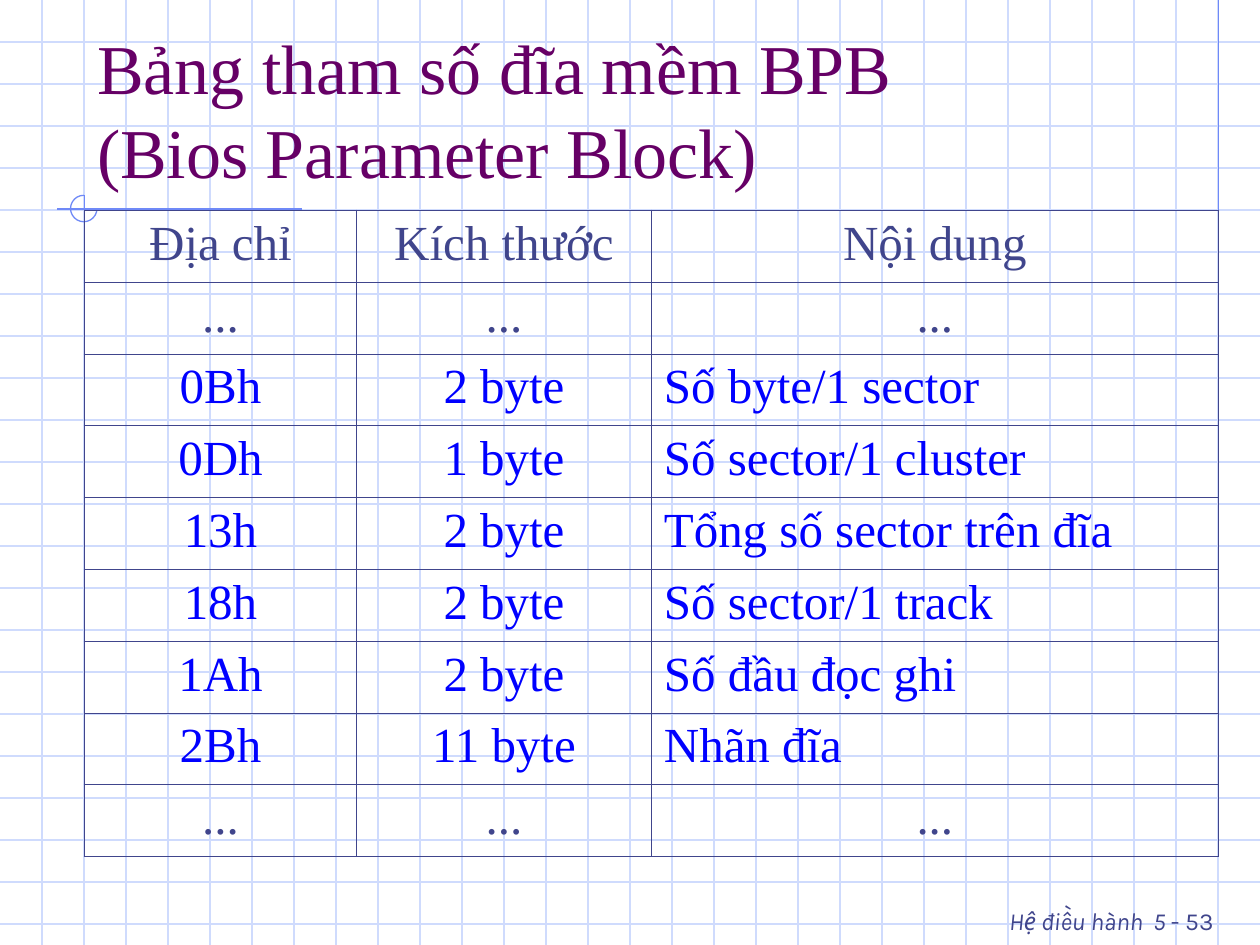
from typing import NamedTuple

from lxml.etree import SubElement
from pptx import Presentation
from pptx.dml.color import RGBColor
from pptx.enum.shapes import MSO_CONNECTOR, MSO_SHAPE
from pptx.enum.text import MSO_ANCHOR, MSO_AUTO_SIZE, PP_ALIGN
from pptx.oxml.ns import qn
from pptx.util import Inches, Pt

GRID = RGBColor(0xCF, 0xDB, 0xFD)
ACCENT = RGBColor(0x6F, 0x89, 0xF7)
NAVY = RGBColor(0x40, 0x45, 0x8C)
BLUE = RGBColor(0x00, 0x00, 0xFF)
PURPLE = RGBColor(0x66, 0x00, 0x66)
SERIF, SANS = "Times New Roman", "Karla"
WIDTH, HEIGHT = 10, 7.5
THIN, THICK = 0.45, 1.08


class Line(NamedTuple):
    x1: float
    y1: float
    x2: float
    y2: float
    color: RGBColor


class Field(NamedTuple):
    address: str
    size: str
    content: str


class Piece(NamedTuple):
    text: str
    size: int
    italic: bool


# Background grid, three cells to the inch, and accent lines
LINES = (
    [Line(0, i / 3, WIDTH, i / 3, GRID) for i in range(1, 23)]
    + [Line(i / 3, 0, i / 3, HEIGHT, GRID) for i in range(1, 30)]
    + [
        Line(9.67, 0, 9.67, 2.58, ACCENT),
        Line(2.4, 1.66, 0.45, 1.66, ACCENT),
        Line(0.67, 1.55, 0.67, 4.09, ACCENT),
    ]
)

GAP = Field("...", "...", "...")
FIELDS = [
    Field("Địa chỉ", "Kích thước", "Nội dung"),
    GAP,
    Field("0Bh", "2 byte", "Số byte/1 sector"),
    Field("0Dh", "1 byte", "Số sector/1 cluster"),
    Field("13h", "2 byte", "Tổng số sector trên đĩa"),
    Field("18h", "2 byte", "Số sector/1 track"),
    Field("1Ah", "2 byte", "Số đầu đọc ghi"),
    Field("2Bh", "11 byte", "Nhãn đĩa"),
    GAP,
]
COL_WIDTHS = [2.16, 2.34, 4.5]
ROW_HEIGHT = 0.57

FOOTER = [
    Piece("Hệ điều hành", 14, True),
    Piece(" ", 24, False),
    Piece("5 ", 14, True),
    Piece("- 53", 14, False),
]


def style_run(r, font: str, size: float, color: RGBColor, italic: bool = False) -> None:
    r.font.name, r.font.size, r.font.italic = font, Pt(size), italic
    r.font.color.rgb = color


def draw_line(slide, line: Line) -> None:
    ends = [Inches(v) for v in line[:4]]
    cxn = slide.shapes.add_connector(MSO_CONNECTOR.STRAIGHT, *ends)
    cxn.line.color.rgb = line.color
    cxn.line.width = Pt(0.75)
    SubElement(cxn._element.spPr, qn("a:effectLst"))


def draw_arc(slide) -> None:
    arc = slide.shapes.add_shape(
        MSO_SHAPE.ARC, Inches(0.56), Inches(1.55), Inches(0.21), Inches(0.21))
    # Clockwise from 0 to 270 degrees
    arc.adjustments[0], arc.adjustments[1] = 0, 162
    arc.shadow.inherit = False
    arc.fill.background()
    arc.line.color.rgb = ACCENT
    arc.line.width = Pt(0.75)


def draw_title(slide) -> None:
    title = slide.shapes.title
    title.left, title.top = Inches(0.67), Inches(0.33)
    title.width, title.height = Inches(8.5), Inches(1.25)
    tf = title.text_frame
    tf.text = "Bảng tham số đĩa mềm BPB \v(Bios Parameter Block)"
    tf.auto_size = MSO_AUTO_SIZE.NONE
    tf.vertical_anchor = MSO_ANCHOR.BOTTOM
    p = tf.paragraphs[0]
    p.alignment = PP_ALIGN.LEFT
    for r in p.runs:
        style_run(r, SERIF, 40, PURPLE)
    # Bring the title in front of the grid
    slide.shapes._spTree.append(title._element)


def draw_footer(slide) -> None:
    box = slide.shapes.add_textbox(Inches(6.83), Inches(7), Inches(2.9), Inches(0.5))
    tf = box.text_frame
    tf.word_wrap = True
    p = tf.paragraphs[0]
    p.alignment = PP_ALIGN.RIGHT
    for piece in FOOTER:
        r = p.add_run()
        r.text = piece.text
        style_run(r, SANS, piece.size, NAVY, piece.italic)


def set_border(cell, side: str, width: float) -> None:
    ln = SubElement(cell._tc.get_or_add_tcPr(), qn(f"a:ln{side}"), w=str(Pt(width)))
    fill = SubElement(ln, qn("a:solidFill"))
    SubElement(fill, qn("a:srgbClr"), val=str(NAVY))


def draw_table(slide) -> None:
    rows, cols = len(FIELDS), len(COL_WIDTHS)
    table = slide.shapes.add_table(
        rows, cols, Inches(0.67), Inches(1.67),
        Inches(sum(COL_WIDTHS)), Inches(rows * ROW_HEIGHT)).table
    table.first_row = table.horz_banding = False
    for column, width in zip(table.columns, COL_WIDTHS):
        column.width = Inches(width)
    for i, field in enumerate(FIELDS):
        table.rows[i].height = Inches(ROW_HEIGHT)
        is_data = i > 0 and field != GAP
        for j, text in enumerate(field):
            cell = table.cell(i, j)
            outer = {"L": j == 0, "R": j == cols - 1, "T": i == 0, "B": i == rows - 1}
            for side, is_outer in outer.items():
                set_border(cell, side, THICK if is_outer else THIN)
            cell.fill.background()
            cell.text_frame.text = text
            p = cell.text_frame.paragraphs[0]
            p.space_before = Pt(7)
            p.alignment = PP_ALIGN.LEFT if is_data and j == 2 else PP_ALIGN.CENTER
            style_run(p.runs[0], SERIF, 28, BLUE if is_data else NAVY)


def main() -> None:
    prs = Presentation()
    prs.slide_width, prs.slide_height = Inches(WIDTH), Inches(HEIGHT)
    slide = prs.slides.add_slide(prs.slide_layouts[5])
    for line in LINES:
        draw_line(slide, line)
    draw_arc(slide)
    draw_footer(slide)
    draw_title(slide)
    draw_table(slide)
    prs.save("out.pptx")


if __name__ == "__main__":
    main()
